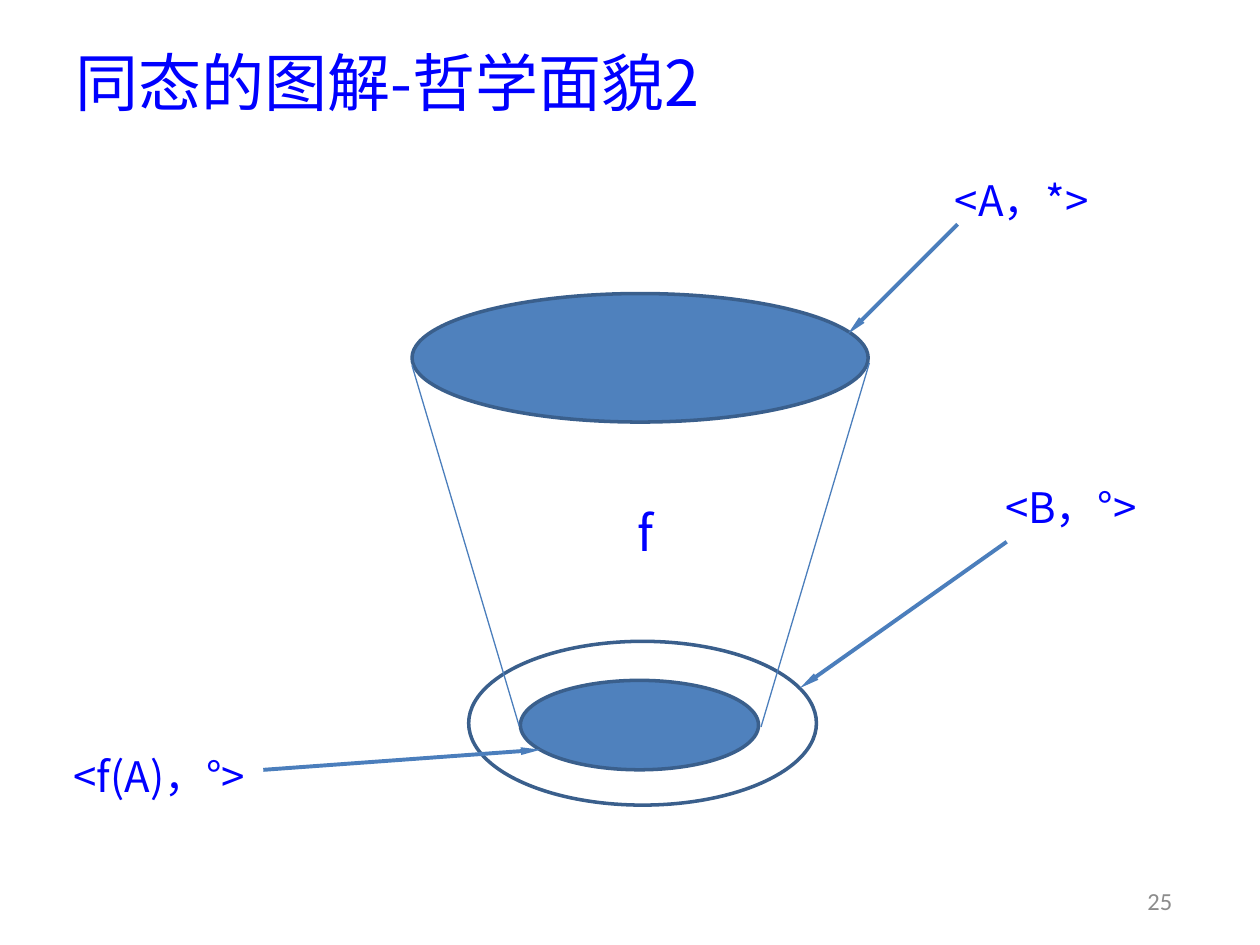
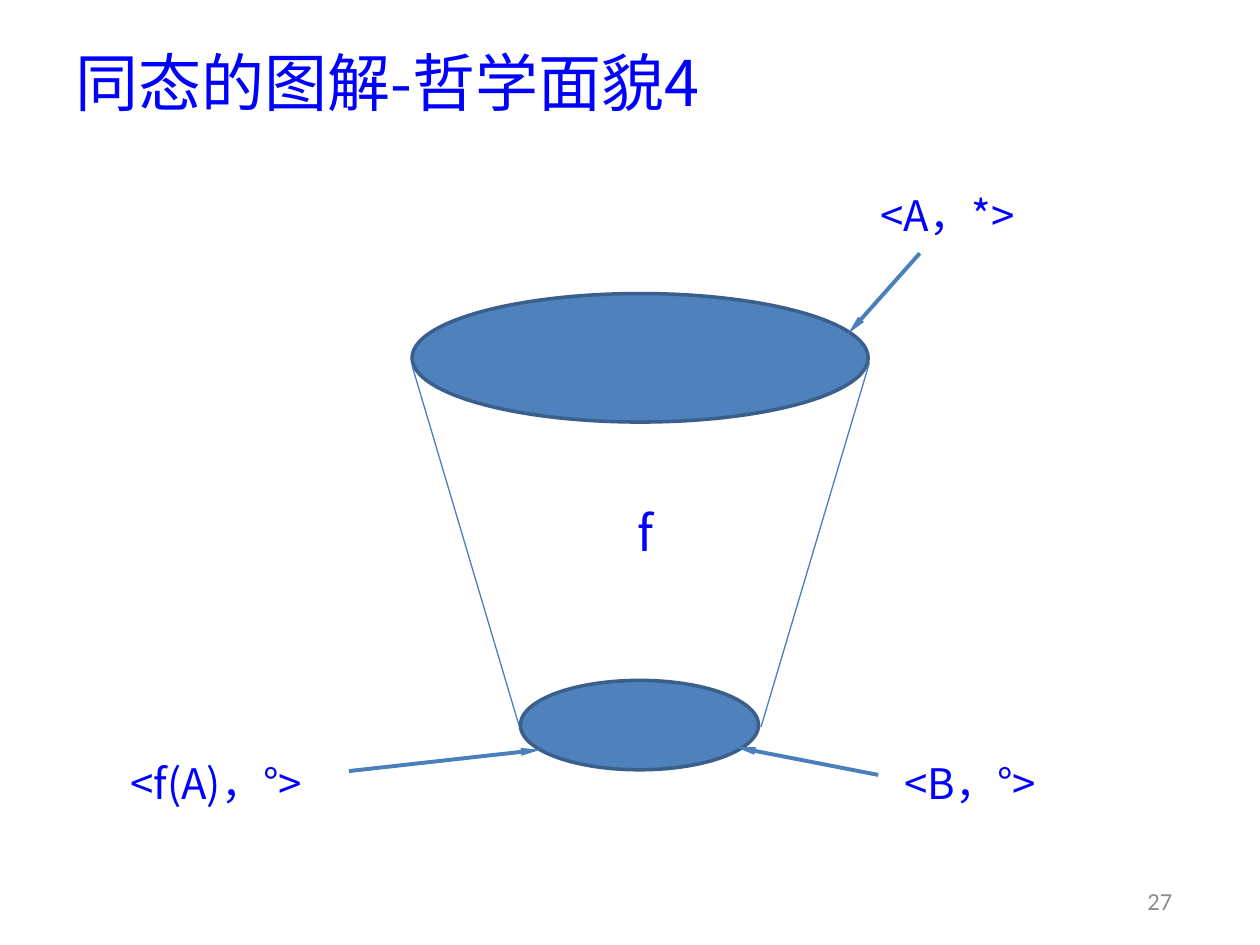
from lxml import etree
from pptx import Presentation
from pptx import util as u
from pptx.dml.color import RGBColor
from pptx.enum import shapes, text
from pptx.oxml.ns import qn

COLORS = {"text": "0000FF", "fill": "4F81BD", "outline": "3A5F8C",
          "line": "4B7EBC", "number": "8C8C8C"}
CJK, LATIN = "Noto Sans CJK SC", "Calibri"

DOMAIN = (3.27, 2.33, 3.62, 1.02)
CODOMAIN = (3.72, 5.09, 2.76, 1.3)
IMAGE = (4.13, 5.4, 1.89, 0.71)
SIDES = [((3.27, 2.9), (4.12, 5.76)), ((6.9, 2.88), (6.04, 5.77))]
DOMAIN_TIP, IMAGE_TIP = (6.73, 2.65), (4.29, 5.95)
LABEL_H = 0.55

SLIDES = [
    {"title": "同态的图解-哲学面貌2", "number": "25",
     "ellipses": [(DOMAIN, True), (CODOMAIN, False), (IMAGE, True)],
     "labels": [("<f(A)，°>", (0.2, 5.88, 2.13), (2.09, 6.11), IMAGE_TIP),
                ("<A，*>", (6.81, 1.31, 2.6), (7.6, 1.78), DOMAIN_TIP),
                ("<B，°>", (7.2, 3.75, 2.6), (7.99, 4.3), (6.35, 5.46))]},
    {"title": "同态的图解-哲学面貌4", "number": "27",
     "ellipses": [(DOMAIN, True), (IMAGE, True)],
     "labels": [("<f(A)，°>", (0.65, 5.94, 2.13), (2.77, 6.12), IMAGE_TIP),
                ("<A，*>", (6.73, 1.43, 1.58), (7.3, 2.01), DOMAIN_TIP),
                ("<B，°>", (6.89, 5.94, 1.62), (6.97, 6.15), (5.84, 5.93))]},
]


def inches(values):
    return [u.Inches(v) for v in values]


def color(name):
    return RGBColor.from_string(COLORS[name])


def add_text(slide, words, box, size, align=text.PP_ALIGN.CENTER, font=CJK, ink="text"):
    tf = slide.shapes.add_textbox(*inches(box)).text_frame
    tf.word_wrap = True
    tf.vertical_anchor = text.MSO_ANCHOR.MIDDLE
    p = tf.paragraphs[0]
    p.alignment = align
    r = p.add_run()
    r.text = words
    r.font.size = u.Pt(size)
    r.font.name = font
    r.font.color.rgb = color(ink)
    etree.SubElement(r.font._element, qn("a:ea"), typeface=font)


def add_ellipse(slide, box, filled):
    sp = slide.shapes.add_shape(shapes.MSO_SHAPE.OVAL, *inches(box))
    sp.shadow.inherit = False
    if filled:
        sp.fill.solid()
        sp.fill.fore_color.rgb = color("fill")
    else:
        sp.fill.background()
    sp.line.color.rgb = color("outline")
    sp.line.width = u.Pt(2)


def add_line(slide, start, end, width, arrow=False):
    cx = slide.shapes.add_connector(shapes.MSO_CONNECTOR.STRAIGHT, *inches(start + end))
    cx.line.color.rgb = color("line")
    cx.line.width = u.Pt(width)
    if arrow:
        etree.SubElement(cx.line._get_or_add_ln(), qn("a:tailEnd"),
                         type="triangle", w="sm", len="lg")
    etree.SubElement(cx._element.spPr, qn("a:effectLst"))


def build_slide(prs, data):
    slide = prs.slides.add_slide(prs.slide_layouts[6])
    add_text(slide, data["title"], (0.5, 0.22, 9, 0.85), 36, text.PP_ALIGN.LEFT)
    for box, filled in data["ellipses"]:
        add_ellipse(slide, box, filled)
    for start, end in SIDES:
        add_line(slide, start, end, 0.75)
    for words, place, start, tip in data["labels"]:
        add_text(slide, words, place + (LABEL_H,), 24)
        add_line(slide, start, tip, 2.25, arrow=True)
    add_text(slide, "f", (4.45, 3.99, 1.34, 0.47), 28)
    add_text(slide, data["number"], (8.91, 6.95, 0.59, 0.4), 14, font=LATIN, ink="number")


def main():
    prs = Presentation()
    prs.slide_width, prs.slide_height = inches((10, 7.5))
    for data in SLIDES:
        build_slide(prs, data)
    prs.save("out.pptx")


if __name__ == "__main__":
    main()
